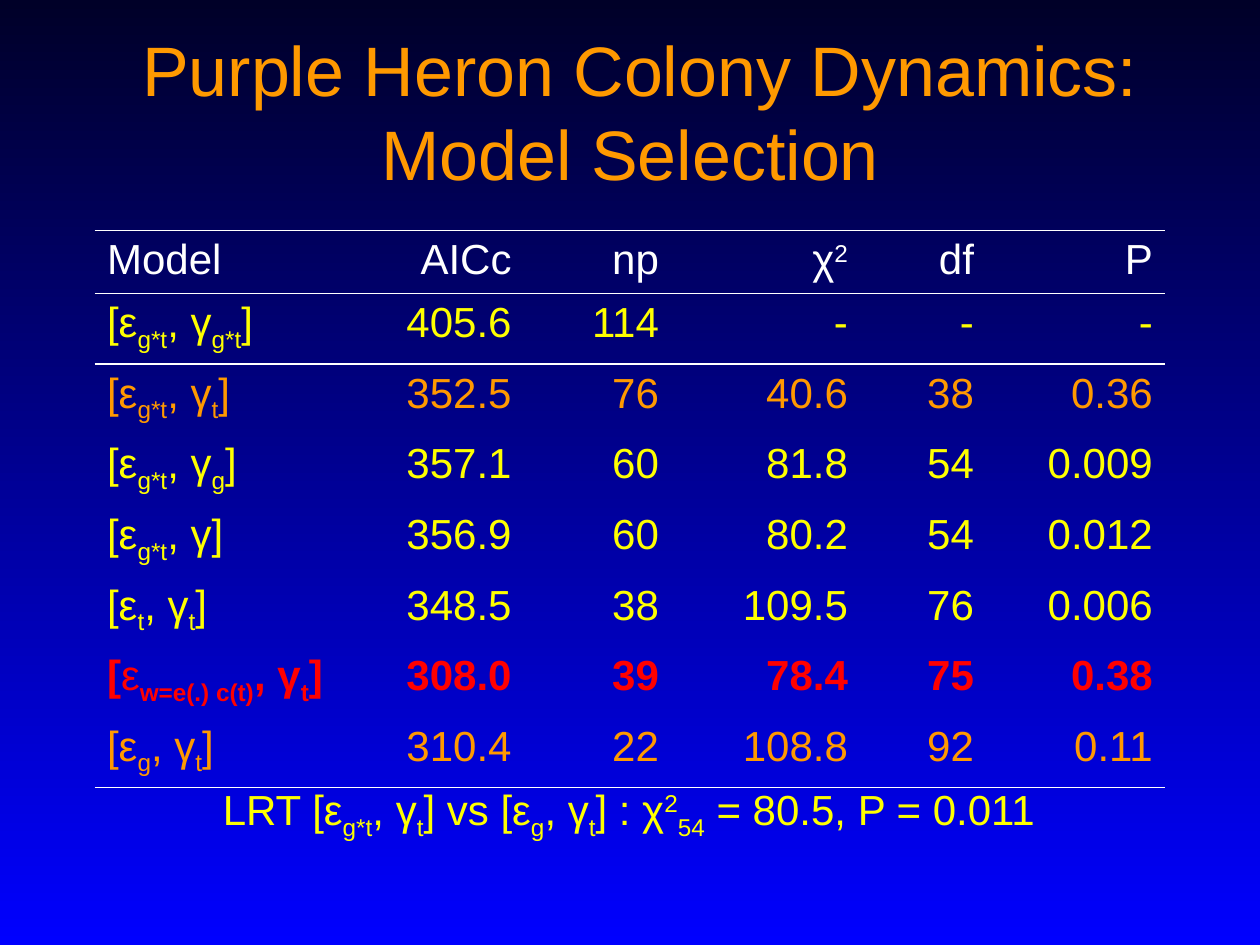
from dataclasses import dataclass

from lxml import etree
from pptx import Presentation
from pptx.dml.color import RGBColor
from pptx.enum.text import MSO_ANCHOR, PP_ALIGN
from pptx.oxml.ns import qn
from pptx.util import Inches, Pt

LEFT, CENTER, RIGHT = PP_ALIGN.LEFT, PP_ALIGN.CENTER, PP_ALIGN.RIGHT
TOP, MIDDLE = MSO_ANCHOR.TOP, MSO_ANCHOR.MIDDLE
NO_GRID_STYLE = "{2D5ABB26-0587-4C30-8999-92F81FD0307C}"
BASELINES = {"_": "-25000", "^": "30000"}


@dataclass(frozen=True)
class Theme:
    """Colours, font and type sizes of the slide."""

    night: str = "000028"
    blue: str = "0000FF"
    white: str = "FFFFFF"
    yellow: str = "FFFF00"
    orange: str = "FF9900"
    red: str = "FF0000"
    font: str = "Arial"
    title_size: int = 40
    body_size: int = 24
    rule_width: float = 1.08


THEME = Theme()
COLUMN_WIDTHS = (2.33, 1.08, 1.17, 1.5, 1, 1.42)
HEADER_HEIGHT, ROW_HEIGHT = 0.5, 0.56
MODEL_ROWS = (
    (THEME.white, False, ("Model", "AICc", "np", "χ|^2", "df", "P")),
    (THEME.yellow, False, ("[ε|_g*t|, γ|_g*t|]", "405.6", "114", "-", "-", "-")),
    (THEME.orange, False, ("[ε|_g*t|, γ|_t|]", "352.5", "76", "40.6", "38", "0.36")),
    (THEME.yellow, False, ("[ε|_g*t|, γ|_g|]", "357.1", "60", "81.8", "54", "0.009")),
    (THEME.yellow, False, ("[ε|_g*t|, γ]", "356.9", "60", "80.2", "54", "0.012")),
    (THEME.yellow, False, ("[ε|_t|, γ|_t|]", "348.5", "38", "109.5", "76", "0.006")),
    (THEME.red, True, ("[|~ε|_w=e(.) c(t)|, γ|_t|]", "308.0", "39", "78.4", "75", "0.38")),
    (THEME.orange, False, ("[ε|_g|, γ|_t|]", "310.4", "22", "108.8", "92", "0.11")),
)


def write_text(frame, text, color, size=THEME.body_size, bold=False, align=LEFT, anchor=TOP):
    """Write text split at bars; _ lowers, ^ raises and ~ unbolds a part."""
    frame.vertical_anchor = anchor
    paragraph = frame.paragraphs[0]
    paragraph.alignment = align
    paragraph.font.size = Pt(size)
    for part in text.split("|"):
        if part == "\n":
            paragraph.add_line_break()
            continue
        mark = part[0]
        run = paragraph.add_run()
        run.text = part[1:] if mark in "_^~" else part
        run.font.name = THEME.font
        run.font.size = Pt(size)
        run.font.bold = bold and mark != "~"
        run.font.color.rgb = RGBColor.from_string(color)
        if mark in BASELINES:
            run.font._element.set("baseline", BASELINES[mark])


def add_rule(cell, edge):
    """Draw a white border on one edge of a cell, lnT or lnB."""
    properties = cell._tc.get_or_add_tcPr()
    line = etree.Element(qn(f"a:{edge}"), w=str(Pt(THEME.rule_width)))
    fill = etree.SubElement(line, qn("a:solidFill"))
    etree.SubElement(fill, qn("a:srgbClr"), val=THEME.white)
    properties.insert(len(properties.findall(qn("a:lnT"))), line)


def paint_background(slide):
    """Fill the slide with a gradient from night at the top to blue."""
    fill = slide.background.fill
    fill.gradient()
    fill.gradient_angle = 270
    for stop, color in zip(fill.gradient_stops, (THEME.night, THEME.blue)):
        stop.color.rgb = RGBColor.from_string(color)


def add_title(slide, left, top, width, height):
    """Place the two-line title in its box."""
    box = slide.shapes.add_textbox(left, top, width, height)
    box.text_frame.word_wrap = True
    write_text(box.text_frame, " Purple Heron Colony Dynamics:|\n|Model Selection",
               THEME.orange, size=THEME.title_size, align=CENTER, anchor=MIDDLE)


def add_model_table(slide, left, top, width, height):
    """Place the model table with rules around the header and at the foot."""
    last_row = len(MODEL_ROWS) - 1
    graphic = slide.shapes.add_table(len(MODEL_ROWS), len(COLUMN_WIDTHS), left, top, width, height)
    table = graphic.table
    table.first_row = table.horz_banding = False
    table._tbl.tblPr.find(qn("a:tableStyleId")).text = NO_GRID_STYLE
    for column, column_width in zip(table.columns, COLUMN_WIDTHS):
        column.width = Inches(column_width)
    for row_index, (color, bold, texts) in enumerate(MODEL_ROWS):
        table.rows[row_index].height = Inches(ROW_HEIGHT if row_index else HEADER_HEIGHT)
        for column_index, text in enumerate(texts):
            cell = table.cell(row_index, column_index)
            cell.fill.background()
            write_text(cell.text_frame, text, color, bold=bold,
                       align=RIGHT if column_index else LEFT)
            if row_index in (0, 1):
                add_rule(cell, "lnT")
            if row_index in (0, last_row):
                add_rule(cell, "lnB")


def add_test_result(slide, left, top, width, height):
    """Place the likelihood ratio test line below the table."""
    box = slide.shapes.add_textbox(left, top, width, height)
    box.text_frame.word_wrap = False
    write_text(box.text_frame,
               "LRT [ε|_g*t|, γ|_t|] vs [ε|_g|, γ|_t|] : χ|^2|_54| = 80.5, P = 0.011",
               THEME.yellow)


def main():
    """Build and save the slide."""
    presentation = Presentation()
    presentation.slide_width, presentation.slide_height = Inches(10), Inches(7.5)
    slide = presentation.slides.add_slide(presentation.slide_layouts[6])
    paint_background(slide)
    add_title(slide, Inches(0.75), Inches(0.25), Inches(8.5), Inches(1.25))
    add_model_table(slide, Inches(0.75), Inches(1.83), Inches(8.5), Inches(4.42))
    add_test_result(slide, Inches(1.67), Inches(6.17), Inches(6.73), Inches(0.56))
    presentation.save("out.pptx")


if __name__ == "__main__":
    main()
